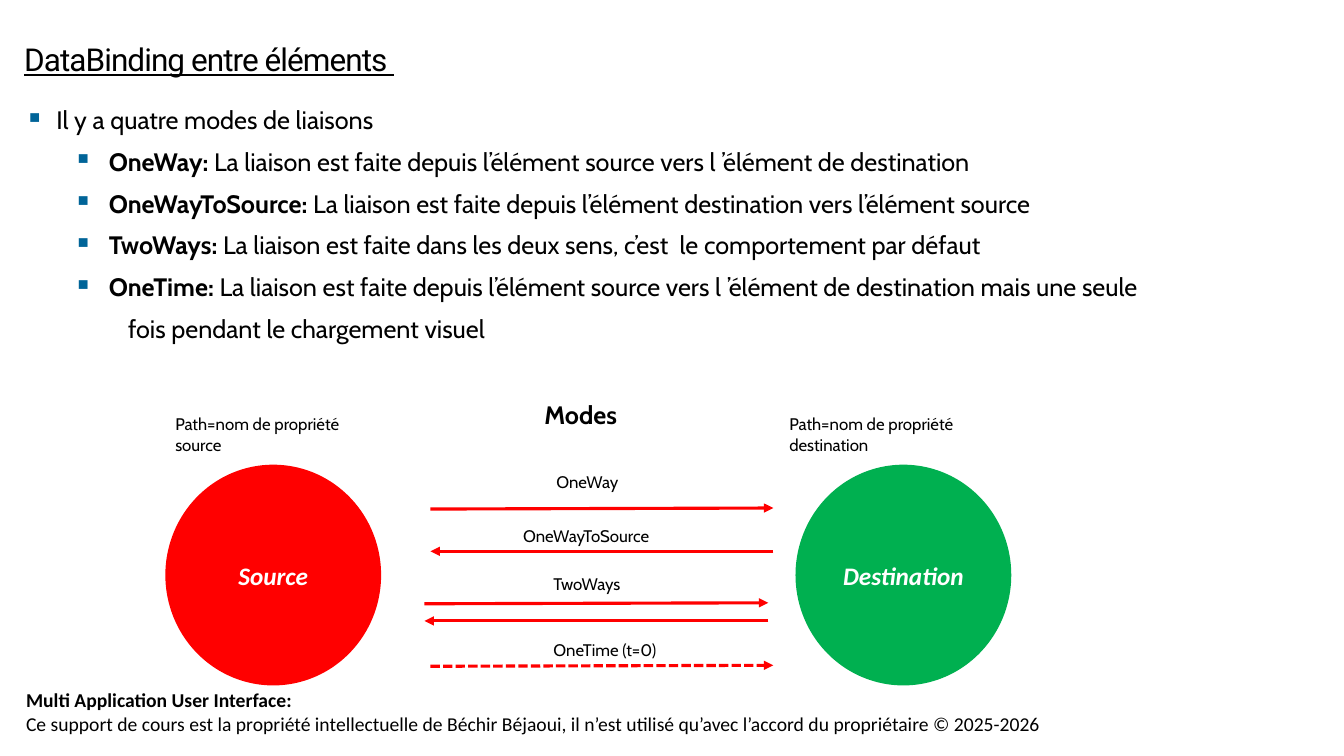
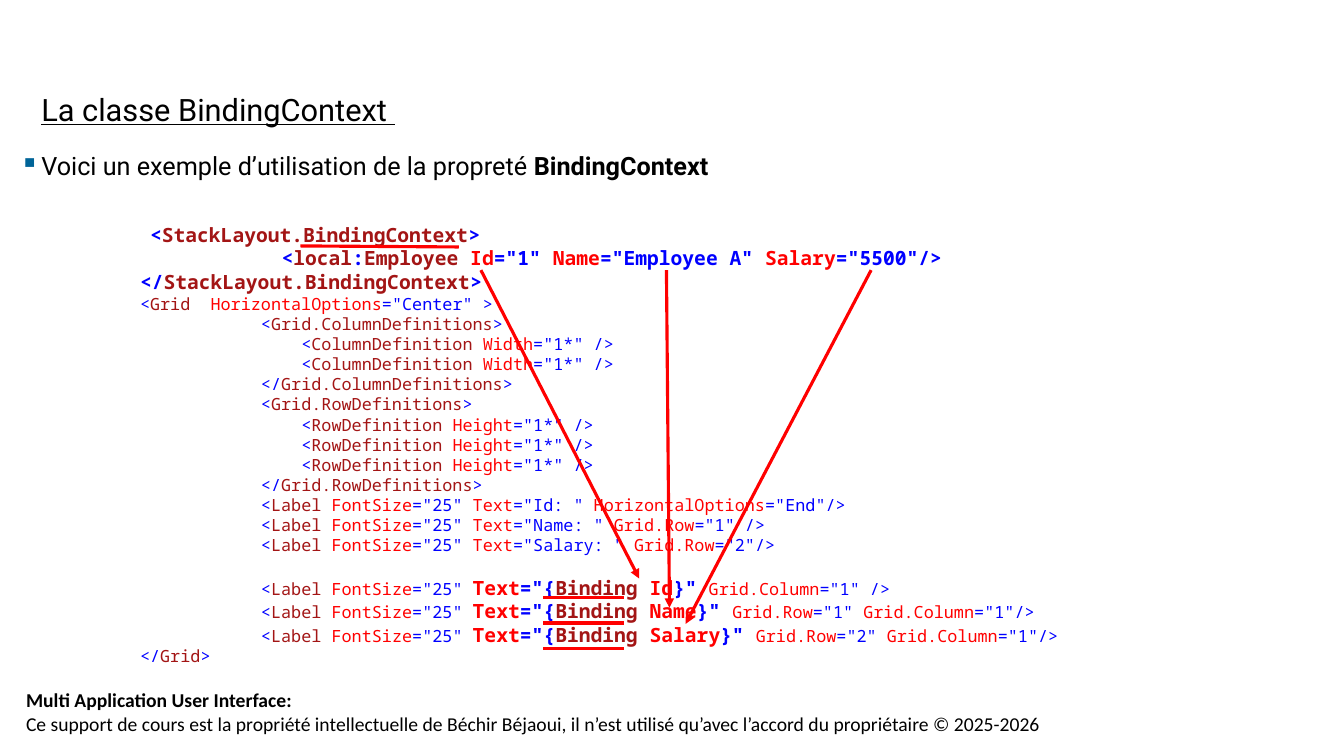
from dataclasses import dataclass
from itertools import groupby
from typing import Iterator, NamedTuple, Sequence

from lxml import etree
from pptx import Presentation
from pptx import slide as slides
from pptx import util as u
from pptx.dml.color import RGBColor
from pptx.enum import dml, shapes, text
from pptx.oxml import ns
from pptx.shapes.autoshape import Shape

BLACK = RGBColor(0x00, 0x00, 0x00)
WHITE = RGBColor(0xFF, 0xFF, 0xFF)
RED = RGBColor(0xFF, 0x00, 0x00)
GREEN = RGBColor(0x00, 0xB0, 0x50)
BLUE = RGBColor(0x00, 0x00, 0xFF)
MAROON = RGBColor(0xA3, 0x15, 0x15)
BULLET = RGBColor(0x00, 0x64, 0x98)

BODY_FONT = "Cabin"
TITLE_FONT = "Roboto"
FOOTER_FONT = "Calibri"
CODE_FONT = "Noto Sans Mono"

CODE_MARKS = '<>/="{}:'
LINE_PITCH = 14.9


class Box(NamedTuple):
    left: float
    top: float
    width: float
    height: float


@dataclass(frozen=True)
class Piece:
    words: str
    size: float
    bold: bool = False
    color: RGBColor = BLACK
    underline: bool = False
    tracking: float = 0


@dataclass(frozen=True)
class Line:
    pieces: Sequence[Piece]
    margin: float = 0
    indent: float = 0
    bullet: bool = False
    level: int = 0
    space_before: float = 0
    line_spacing: float = 0


@dataclass(frozen=True)
class CodeLine:
    code: str
    strong: str = ""
    space_before: float = 0


@dataclass(frozen=True)
class Arrow:
    begin: tuple[float, float]
    end: tuple[float, float]
    head: bool = True
    dashed: bool = False


@dataclass(frozen=True)
class Label:
    box: Box
    lines: Sequence[str]
    size: float = 12
    bold: bool = False


@dataclass(frozen=True)
class Circle:
    name: str
    left: float
    color: RGBColor


MODES = (
    ("OneWay:", " La liaison est faite depuis l’élément source vers l ’élément de destination"),
    ("OneWayToSource: ", "La liaison est faite depuis l’élément destination vers l’élément source"),
    ("TwoWays: ", "La liaison est faite dans les deux sens, c’est  le comportement par défaut"),
    ("OneTime: ", "La liaison est faite depuis l’élément source vers l ’élément de destination mais une seule"),
)

CIRCLES = (Circle("Source", 1.64, RED), Circle("Destination", 7.89, GREEN))

LABELS = (
    Label(Box(1.64, 4.06, 1.94, 0.5), ("Path=nom de propriété", "source")),
    Label(Box(7.73, 4.06, 1.94, 0.5), ("Path=nom de propriété", "destination")),
    Label(Box(5.3, 3.91, 1, 0.4), ("Modes",), 18, True),
    Label(Box(5.42, 4.63, 0.83, 0.3), ("OneWay",)),
    Label(Box(5.09, 5.17, 1.5, 0.3), ("OneWayToSource",)),
    Label(Box(5.39, 5.64, 0.89, 0.3), ("TwoWays",)),
    Label(Box(5.39, 6.3, 1.22, 0.3), ("OneTime (t=0)",)),
)

MODE_ARROWS = (
    Arrow((4.27, 5.05), (7.67, 5.04)),
    Arrow((7.67, 5.47), (4.27, 5.47)),
    Arrow((4.21, 5.99), (7.62, 5.98)),
    Arrow((7.62, 6.16), (4.21, 6.16)),
    Arrow((4.27, 6.61), (7.67, 6.6), dashed=True),
)

BINDING_ARROWS = (
    Arrow((4.77, 2.68), (6.34, 5.74)),
    Arrow((6.61, 2.68), (6.64, 6.03)),
    Arrow((8.64, 2.68), (6.8, 6.19)),
    Arrow((2.98, 2.44), (4.55, 2.45), head=False),
    *(Arrow((5.39, y), (6.19, y), head=False) for y in (5.93, 6.18, 6.43)),
)

EMPLOYEE = '            <local:Employee Id="1" Name="Employee A" Salary="5500"/>'
CONTEXT_END = "</StackLayout.BindingContext>"
CODE = (
    CodeLine(" <StackLayout.BindingContext>", "<StackLayout.BindingContext>"),
    CodeLine(EMPLOYEE, EMPLOYEE),
    CodeLine(CONTEXT_END, CONTEXT_END),
    CodeLine('<Grid  HorizontalOptions="Center" >'),
    CodeLine("            <Grid.ColumnDefinitions>"),
    *[CodeLine('                <ColumnDefinition Width="1*" />')] * 2,
    CodeLine("            </Grid.ColumnDefinitions>"),
    CodeLine("            <Grid.RowDefinitions>"),
    *[CodeLine('                <RowDefinition Height="1*" />')] * 3,
    CodeLine("            </Grid.RowDefinitions>"),
    CodeLine('            <Label FontSize="25" Text="Id: " HorizontalOptions="End"/>'),
    CodeLine('            <Label FontSize="25" Text="Name: " Grid.Row="1" />'),
    CodeLine('            <Label FontSize="25" Text="Salary: " Grid.Row="2"/>'),
    CodeLine('            <Label FontSize="25" Text="{Binding Id}" Grid.Column="1" />',
             'Text="{Binding Id}" ', 14.4),
    CodeLine('            <Label FontSize="25" Text="{Binding Name}" Grid.Row="1" Grid.Column="1"/>',
             'Text="{Binding Name}" '),
    CodeLine('            <Label FontSize="25" Text="{Binding Salary}" Grid.Row="2" Grid.Column="1"/>',
             'Text="{Binding Salary}" '),
    CodeLine("</Grid>"),
)


def add_bullet(properties: etree._Element) -> None:
    color = etree.SubElement(properties, ns.qn("a:buClr"))
    etree.SubElement(color, ns.qn("a:srgbClr"), val=str(BULLET))
    etree.SubElement(properties, ns.qn("a:buSzPct"), val="60000")
    etree.SubElement(properties, ns.qn("a:buChar"), char="■")


def add_text(slide: slides.Slide, box: Box, lines: Sequence[Line], font: str,
             wrap: bool = True, inset: bool = True) -> Shape:
    shape = slide.shapes.add_textbox(*map(u.Inches, box))
    frame = shape.text_frame
    frame.word_wrap = wrap
    frame.auto_size = text.MSO_AUTO_SIZE.SHAPE_TO_FIT_TEXT
    if not inset:
        frame.margin_left = frame.margin_top = frame.margin_right = frame.margin_bottom = 0
    for index, line in enumerate(lines):
        paragraph = frame.add_paragraph() if index else frame.paragraphs[0]
        paragraph.level = line.level
        properties = paragraph._p.get_or_add_pPr()
        properties.set("marL", str(u.Inches(line.margin)))
        properties.set("indent", str(u.Inches(line.indent)))
        if line.bullet:
            add_bullet(properties)
        if line.space_before:
            paragraph.space_before = u.Pt(line.space_before)
        if line.line_spacing:
            paragraph.line_spacing = u.Pt(line.line_spacing)
        for piece in line.pieces:
            run = paragraph.add_run()
            run.text = piece.words
            run.font.name = font
            run.font.size = u.Pt(piece.size)
            run.font.bold = piece.bold
            run.font.underline = piece.underline
            run.font.color.rgb = piece.color
            if piece.tracking:
                run._r.get_or_add_rPr().set("spc", str(round(piece.tracking * 100)))
    return shape


def add_arrow(slide: slides.Slide, arrow: Arrow) -> None:
    connector = slide.shapes.add_connector(
        shapes.MSO_CONNECTOR.STRAIGHT, *map(u.Inches, arrow.begin + arrow.end))
    connector.line.color.rgb = RED
    connector.line.width = u.Pt(2.25)
    if arrow.dashed:
        connector.line.dash_style = dml.MSO_LINE.SQUARE_DOT
    if arrow.head:
        etree.SubElement(connector.line._get_or_add_ln(), ns.qn("a:tailEnd"), type="triangle")
    etree.SubElement(connector._element.spPr, ns.qn("a:effectLst"))


def add_circle(slide: slides.Slide, circle: Circle) -> None:
    shape = slide.shapes.add_shape(
        shapes.MSO_SHAPE.OVAL, *map(u.Inches, (circle.left, 4.61, 2.14, 2.19)))
    shape.shadow.inherit = False
    shape.fill.solid()
    shape.fill.fore_color.rgb = circle.color
    shape.line.fill.background()
    frame = shape.text_frame
    frame.text = circle.name
    frame.vertical_anchor = text.MSO_ANCHOR.MIDDLE
    paragraph = frame.paragraphs[0]
    paragraph.alignment = text.PP_ALIGN.CENTER
    font = paragraph.runs[0].font
    font.name, font.size = FOOTER_FONT, u.Pt(18)
    font.bold = font.italic = True
    font.color.rgb = WHITE


def styled_characters(line: CodeLine) -> Iterator[tuple[str, RGBColor, bool]]:
    start = line.code.find(line.strong)
    end = start + len(line.strong)
    quoted = binding = False
    name_color = RED
    for index, character in enumerate(line.code):
        if character == '"':
            quoted = not quoted
        elif character in "{}":
            binding = character == "{"
        if character in "<:{":
            name_color = MAROON
        elif character == " ":
            name_color = RED
        plain = character in CODE_MARKS or (quoted and not binding)
        yield character, BLUE if plain else name_color, start <= index < end


def code_line(line: CodeLine) -> Line:
    pieces = []
    for (color, strong), group in groupby(styled_characters(line), key=lambda item: item[1:]):
        words = "".join(item[0] for item in group)
        pieces.append(Piece(words, 14 if strong else 12, strong, color))
    return Line(pieces, space_before=line.space_before)


def new_slide(presentation: Presentation) -> slides.Slide:
    slide = presentation.slides.add_slide(presentation.slide_layouts[6])
    add_text(slide, Box(0.16, 6.78, 13.17, 0.57), (
        Line([Piece("Multi Application User Interface:", 14, True)]),
        Line([Piece("Ce support de cours est la propriété intellectuelle de Béchir Béjaoui, "
                    "il n’est utilisé qu’avec l’accord du propriétaire © 2025-2026", 14)]),
    ), FOOTER_FONT)
    return slide


def build_modes(presentation: Presentation) -> None:
    slide = new_slide(presentation)
    title = Piece("DataBinding entre éléments ", 22.5, underline=True, tracking=-0.7)
    add_text(slide, Box(0.23, 0.4, 6.41, 0.38), [Line([title], 0.01)], TITLE_FONT, inset=False)
    lines = [Line([Piece("Il y a quatre modes de liaisons", 18)], 0.29, -0.27, True,
                  line_spacing=LINE_PITCH)]
    lines += [Line([Piece(mode, 18, True), Piece(meaning, 18)], 0.81, -0.31, True, 1,
                   LINE_PITCH, LINE_PITCH) for mode, meaning in MODES]
    lines.append(Line([Piece("fois pendant le chargement visuel", 18)], 1, level=2,
                      space_before=LINE_PITCH, line_spacing=LINE_PITCH))
    add_text(slide, Box(0.27, 1.13, 11.67, 2.52), lines, BODY_FONT, inset=False)
    for circle in CIRCLES:
        add_circle(slide, circle)
    for label in LABELS:
        label_lines = [Line([Piece(words, label.size, label.bold)]) for words in label.lines]
        add_text(slide, label.box, label_lines, BODY_FONT, wrap=False)
    for arrow in MODE_ARROWS:
        add_arrow(slide, arrow)


def build_binding_context(presentation: Presentation) -> None:
    slide = new_slide(presentation)
    add_text(slide, Box(0.24, 0.9, 12.33, 0.9), (
        Line([Piece("La classe BindingContext ", 22, underline=True)], 0.17),
        Line([Piece("Voici un exemple d’utilisation de la propreté ", 18),
              Piece("BindingContext", 18, True)], 0.17, -0.17, True, space_before=16.1),
    ), TITLE_FONT, inset=False)
    add_text(slide, Box(1.29, 2.16, 10.11, 4.51), [code_line(line) for line in CODE], CODE_FONT)
    for arrow in BINDING_ARROWS:
        add_arrow(slide, arrow)


def main() -> None:
    presentation = Presentation()
    presentation.slide_width = u.Inches(13.33)
    presentation.slide_height = u.Inches(7.5)
    build_modes(presentation)
    build_binding_context(presentation)
    presentation.save("out.pptx")


if __name__ == "__main__":
    main()
